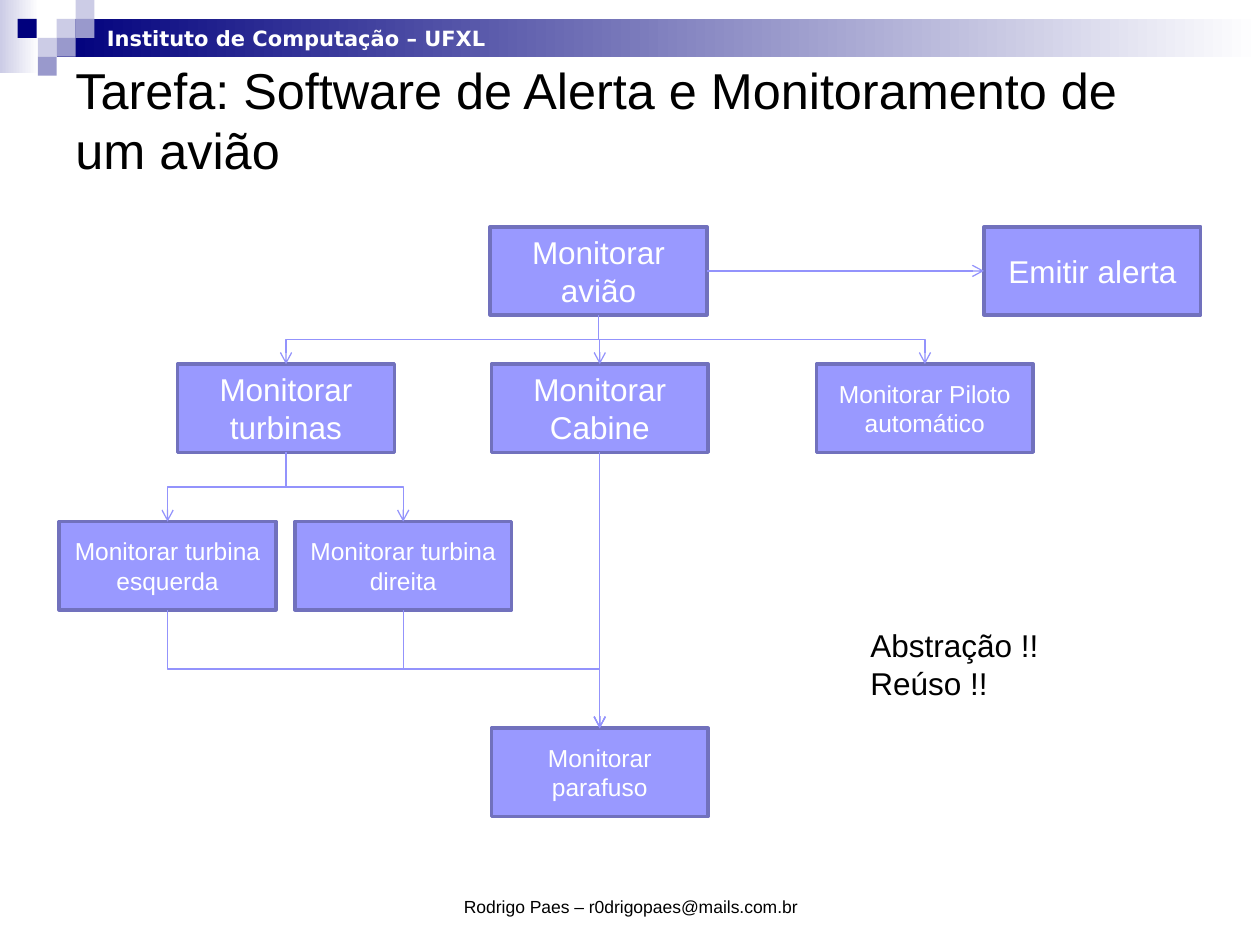
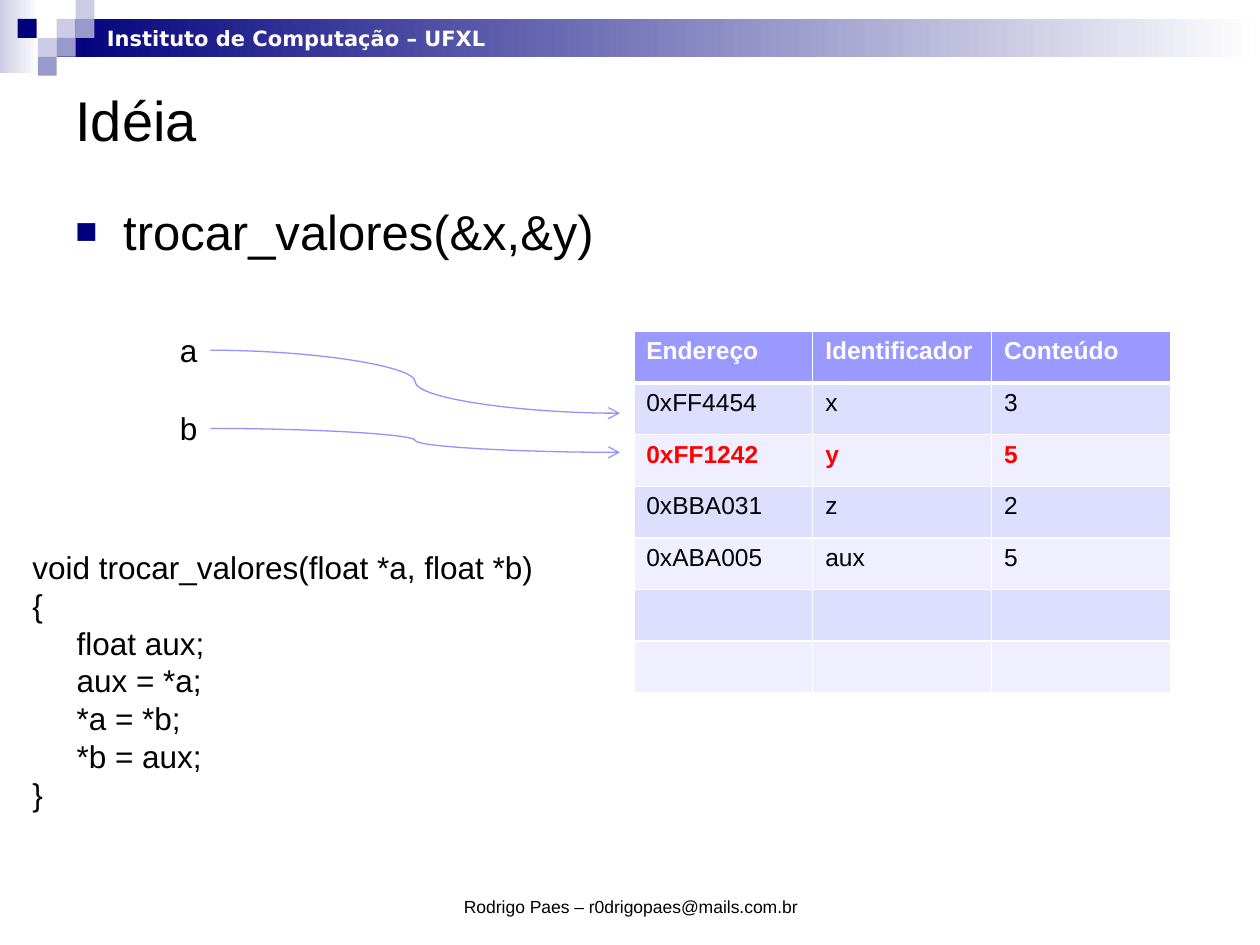
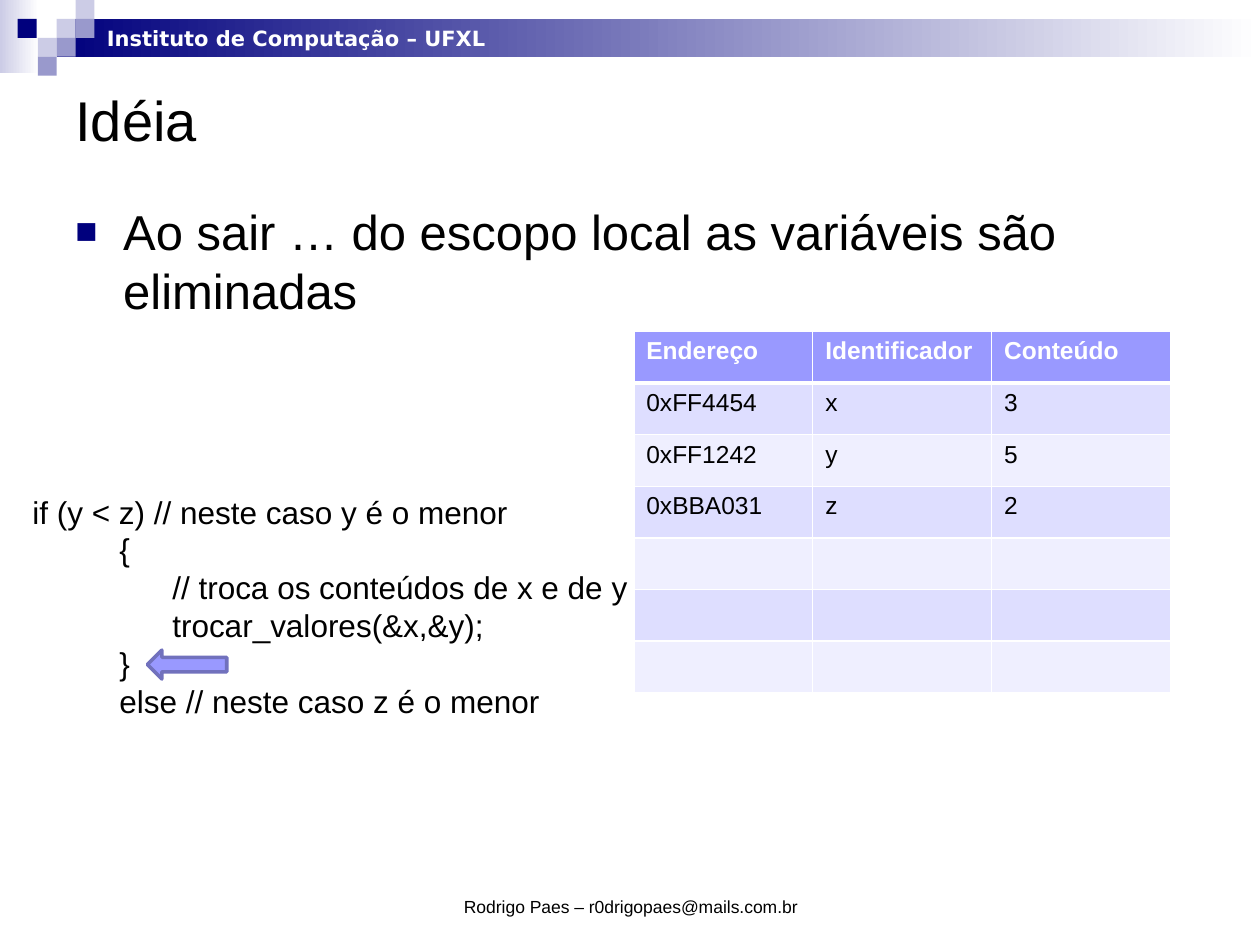
from dataclasses import dataclass

from lxml.etree import SubElement
from pptx import Presentation
from pptx.dml.color import RGBColor
from pptx.enum.shapes import MSO_CONNECTOR as Connector, MSO_SHAPE as Shape
from pptx.enum.text import MSO_ANCHOR as Anchor, MSO_AUTO_SIZE as AutoSize, PP_ALIGN as Align
from pptx.oxml.ns import qn
from pptx.util import Pt

PX = 9144  # 100 px to the inch


@dataclass(frozen=True)
class Theme:
    navy = RGBColor(0x00, 0x00, 0x7D)
    lilac = RGBColor(0xCC, 0xCC, 0xE6)
    mauve = RGBColor(0x99, 0x99, 0xCC)
    accent = RGBColor(0x99, 0x99, 0xFF)
    outline = RGBColor(0x71, 0x71, 0xBD)
    link = RGBColor(0x93, 0x93, 0xFC)
    row_dark = RGBColor(0xDE, 0xDE, 0xFF)
    row_light = RGBColor(0xEF, 0xEF, 0xFF)
    white = RGBColor(0xFF, 0xFF, 0xFF)
    black = RGBColor(0, 0, 0)
    red = RGBColor(0xFF, 0, 0)
    font = "Arial"
    band_font = "DejaVu Sans"
    title_size = 32
    long_title_size = 28.8
    bullet_size = 28
    text_size = 18
    small_size = 14
    band_size = 12
    footer_size = 10


theme = Theme()


def add_shape(slide, kind, at, fill, outline=None, fade_to=None):
    """Add a flat shape at (left, top, width, height) px, with an optional left-to-right fade."""
    shape = slide.shapes.add_shape(kind, *(length * PX for length in at))
    shape.shadow.inherit = False
    if fade_to is None:
        shape.fill.solid()
        shape.fill.fore_color.rgb = fill
    else:
        shape.fill.gradient()
        shape.fill.gradient_angle = 0
        for stop, color in zip(shape.fill.gradient_stops, (fill, fade_to)):
            stop.color.rgb = color
    if outline is None:
        shape.line.fill.background()
    else:
        shape.line.color.rgb = outline
        shape.line.width = Pt(2)
    return shape


def write(frame, lines, size, color=theme.black, bold=False, font=theme.font,
          align=Align.LEFT, anchor=Anchor.TOP, wrap=True, grow=False):
    """Fill a text frame, one paragraph for each line."""
    frame.word_wrap = wrap
    frame.vertical_anchor = anchor
    frame.auto_size = AutoSize.SHAPE_TO_FIT_TEXT if grow else AutoSize.NONE
    for index, line in enumerate(lines):
        paragraph = frame.add_paragraph() if index else frame.paragraphs[0]
        paragraph.alignment = align
        run = paragraph.add_run()
        run.text = line
        run.font.name = font
        run.font.size = Pt(size)
        run.font.bold = bold
        run.font.color.rgb = color
    return frame


presentation = Presentation()
presentation.slide_width = 1000 * PX
presentation.slide_height = 750 * PX
blank_layout = presentation.slide_layouts[6]

# Band, title and footer of every slide
squares = [
    (45, 15, theme.lilac), (60, 0, theme.lilac), (60, 15, theme.mauve), (30, 30, theme.lilac),
    (14, 15, theme.navy), (45, 30, theme.mauve), (30, 45, theme.mauve),
]
titles = [
    ("Tarefa: Software de Alerta e Monitoramento de um avião", theme.long_title_size),
    ("Idéia", theme.title_size),
    ("Idéia", theme.title_size),
]
slides = []
for title, title_size in titles:
    slide = presentation.slides.add_slide(blank_layout)
    slides.append(slide)
    add_shape(slide, Shape.RECTANGLE, (0, 0, 31, 58), theme.lilac, fade_to=theme.white)
    add_shape(slide, Shape.RECTANGLE, (45, 15, 955, 30), theme.navy, fade_to=theme.white)
    for left, top, color in squares:
        add_shape(slide, Shape.RECTANGLE, (left, top, 15, 15), color)
    band = slide.shapes.add_textbox(75 * PX, 15 * PX, 324 * PX, 30 * PX)
    write(band.text_frame, ["Instituto de Computação – UFXL"], theme.band_size, theme.white,
          bold=True, font=theme.band_font, wrap=False, grow=True)
    heading = slide.shapes.add_textbox(50 * PX, 50 * PX, 900 * PX, 89 * PX)
    write(heading.text_frame, [title], title_size, anchor=Anchor.MIDDLE)
    footer = slide.shapes.add_textbox(342 * PX, 683 * PX, 317 * PX, 50 * PX)
    write(footer.text_frame, ["Rodrigo Paes – r0drigopaes@mails.com.br"], theme.footer_size,
          align=Align.CENTER, anchor=Anchor.BOTTOM)

task_slide, swap_slide, scope_slide = slides
connectors = []

# Slide 1: call tree of the monitoring software
modules = {
    "plane": (389, 180, "Monitorar avião", theme.text_size),
    "turbines": (141, 289, "Monitorar turbinas", theme.text_size),
    "left turbine": (47, 414, "Monitorar turbina esquerda", theme.small_size),
    "right turbine": (234, 414, "Monitorar turbina direita", theme.small_size),
    "screw": (390, 578, "Monitorar parafuso", theme.small_size),
    "autopilot": (648, 289, "Monitorar Piloto automático", theme.small_size),
    "cabin": (390, 289, "Monitorar Cabine", theme.text_size),
    "alert": (781, 180, "Emitir alerta", theme.text_size),
}
boxes = {}
for name, (left, top, label, size) in modules.items():
    boxes[name] = add_shape(task_slide, Shape.RECTANGLE, (left, top, 172, 70),
                            theme.accent, theme.outline)
    write(boxes[name].text_frame, [label], size, theme.white,
          align=Align.CENTER, anchor=Anchor.MIDDLE)

TOP, LEFT, BOTTOM, RIGHT = range(4)
calls = [
    ("plane", "turbines"), ("plane", "cabin"), ("plane", "autopilot"),
    ("turbines", "left turbine"), ("turbines", "right turbine"),
    ("left turbine", "screw"), ("right turbine", "screw"), ("cabin", "screw"),
    ("plane", "alert"),
]
for caller, called in calls:
    sideways = boxes[caller].top == boxes[called].top
    connector = task_slide.shapes.add_connector(Connector.ELBOW, 0, 0, 0, 0)
    connector.begin_connect(boxes[caller], RIGHT if sideways else BOTTOM)
    connector.end_connect(boxes[called], LEFT if sideways else TOP)
    connectors.append(connector)
    if not sideways:
        # A quarter turn about the centre makes the elbow leave downwards
        to_right = connector.end_x > connector.begin_x
        width, height = connector.width, connector.height
        connector.left += (width - height) // 2
        connector.top += (height - width) // 2
        connector.width, connector.height = height, width
        frame = connector._element.spPr.find(qn("a:xfrm"))
        frame.set("rot", "16200000" if to_right else "5400000")
        frame.set("flipH", "1" if to_right else "0")

remarks = task_slide.shapes.add_textbox(681 * PX, 492 * PX, 155 * PX, 71 * PX)
write(remarks.text_frame, ["Abstração !!", "Reúso !!"], theme.text_size, wrap=False, grow=True)

# Slides 2 and 3: bullet, memory table and code
header = ("Endereço", "Identificador", "Conteúdo")
variables = [("0xFF4454", "x", "3"), ("0xFF1242", "y", "5"), ("0xBBA031", "z", "2")]
swap_code = [
    (0, "void trocar_valores(float *a, float *b)"),
    (0, "{"),
    (35, "float aux;"),
    (35, "aux = *a;"),
    (35, "*a = *b;"),
    (35, "*b = aux;"),
    (0, "}"),
]
scope_code = [
    (0, "if (y < z) // neste caso y é o menor"),
    (69, "{"),
    (111, "// troca os conteúdos de x e de y"),
    (111, "trocar_valores(&x,&y);"),
    (69, "}"),
    (69, "else // neste caso z é o menor"),
]
ROWS = 7
memory_slides = [
    (swap_slide, "trocar_valores(&x,&y)", variables + [("0xABA005", "aux", "5")], 2,
     swap_code, 430, 222),
    (scope_slide, "Ao sair … do escopo local as variáveis são eliminadas", variables, None,
     scope_code, 386, 192),
]
for slide, bullet, memory, marked_row, code, code_top, code_height in memory_slides:
    body = slide.shapes.add_textbox(50 * PX, 155 * PX, 900 * PX, 520 * PX)
    paragraph = write(body.text_frame, [bullet], theme.bullet_size).paragraphs[0]
    paragraph.space_before = Pt(theme.bullet_size * 0.2)
    properties = paragraph._p.get_or_add_pPr()
    properties.set("marL", str(38 * PX))
    properties.set("indent", str(-38 * PX))
    bullet_color = SubElement(properties, qn("a:buClr"))
    SubElement(bullet_color, qn("a:srgbClr"), val=str(theme.navy))
    SubElement(properties, qn("a:buSzPct"), val="75000")
    SubElement(properties, qn("a:buFont"), typeface=theme.font)
    SubElement(properties, qn("a:buChar"), char="■")

    table = slide.shapes.add_table(ROWS, len(header), 503 * PX, 263 * PX,
                                   426 * PX, 287 * PX).table
    for column in table.columns:
        column.width = 142 * PX
    for row in table.rows:
        row.height = 41 * PX
    contents = [header] + memory
    for row in range(ROWS):
        if row == 0:
            fill, color = theme.accent, theme.white
        else:
            fill = theme.row_dark if row % 2 else theme.row_light
            color = theme.red if row == marked_row else theme.black
        for column in range(len(header)):
            cell = table.cell(row, column)
            cell_properties = cell._tc.get_or_add_tcPr()
            for edge in ("lnL", "lnR", "lnT", "lnB"):
                under_header = (row, edge) in ((0, "lnB"), (1, "lnT"))
                border = SubElement(cell_properties, qn(f"a:{edge}"),
                                    w=str(Pt(3 if under_header else 1)))
                border_fill = SubElement(border, qn("a:solidFill"))
                SubElement(border_fill, qn("a:srgbClr"), val=str(theme.white))
            cell.fill.solid()
            cell.fill.fore_color.rgb = fill
            if row < len(contents):
                run = cell.text_frame.paragraphs[0].add_run()
                run.text = contents[row][column]
                run.font.name = theme.font
                run.font.size = Pt(theme.small_size)
                run.font.bold = row in (0, marked_row)
                run.font.color.rgb = color

    listing = slide.shapes.add_textbox(16 * PX, code_top * PX, 500 * PX, code_height * PX)
    write(listing.text_frame, [line for _, line in code], theme.text_size, grow=True)
    for paragraph, (indent, _) in zip(listing.text_frame.paragraphs, code):
        paragraph._p.get_or_add_pPr().set("marL", str(indent * PX))

# Slide 2: pointers into the table
for name, top, target in (("a", 258, 328), ("b", 320, 359)):
    pointer = swap_slide.shapes.add_textbox(133 * PX, top * PX, 34 * PX, 40 * PX)
    write(pointer.text_frame, [name], theme.text_size, wrap=False, grow=True)
    connectors.append(swap_slide.shapes.add_connector(
        Connector.CURVE, 167 * PX, (top + 20) * PX, 492 * PX, target * PX))

# Slide 3: marker of the current line
add_shape(scope_slide, Shape.LEFT_ARROW, (117, 516, 63, 23), theme.accent, theme.outline)

for connector in connectors:
    connector.line.color.rgb = theme.link
    connector.line.width = Pt(0.75)
    SubElement(connector.line._get_or_add_ln(), qn("a:tailEnd"), type="arrow")
    SubElement(connector._element.spPr, qn("a:effectLst"))

presentation.save("out.pptx")
